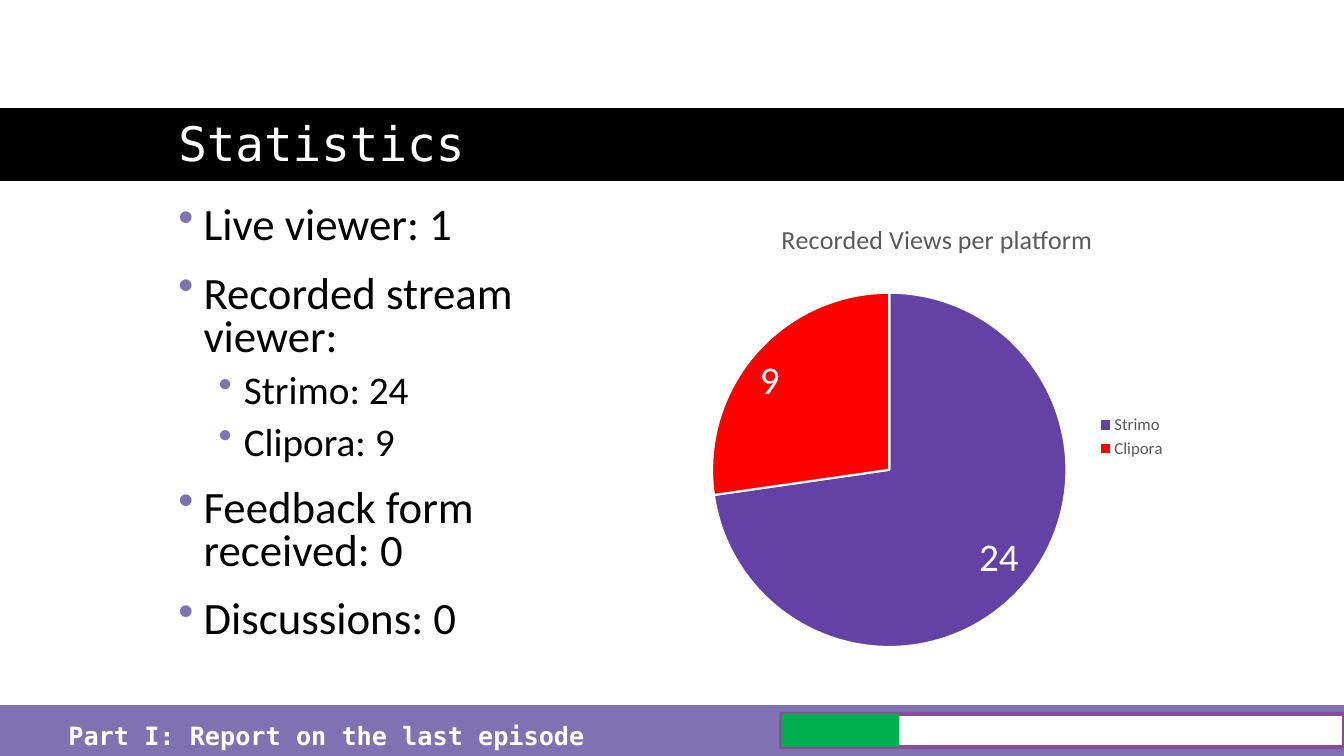
import pptx
import pptx.chart.data
import pptx.dml.color
import pptx.enum.chart
import pptx.enum.shapes
import pptx.enum.text
import pptx.oxml
import pptx.oxml.ns
import pptx.util
from pptx.util import Inches
from dataclasses import dataclass


@dataclass(frozen=True)
class Theme:
    black: str = "000000"
    white: str = "FFFFFF"
    gray: str = "595959"
    lavender: str = "8071B2"
    plum: str = "8C4B97"
    green: str = "00B050"
    slices: tuple = ("6441A5", "FF0000")
    body_font: str = "Calibri"
    mono_font: str = "DejaVu Sans Mono"
    title_size: float = 34
    bullet_sizes: tuple = (32, 28)
    bullet_spacing: tuple = (18, 10)
    bullet_indents: tuple = (0.25, 0.65)
    footer_size: float = 18
    chart_title_size: float = 18.6
    legend_size: float = 12
    label_size: float = 28


THEME = Theme()
TITLE = "Statistics"
FOOTER = "Part I: Report on the last episode"
CHART_TITLE = "Recorded Views per platform"
VIEWS = {"Strimo": 24, "Clipora": 9}
BULLETS = [
    (0, "Live viewer: 1"),
    (0, "Recorded stream viewer:"),
    *[(1, f"{platform}: {views}") for platform, views in VIEWS.items()],
    (0, "Feedback form received: 0"),
    (0, "Discussions: 0"),
]
SLIDE_SIZE = (13.33, 7.5)
COLUMN_TOP, COLUMN_WIDTH, COLUMN_HEIGHT = 2, 4.75, 4.67
TEXT_LEFT, CHART_LEFT = 1.67, 6.92
PROGRESS_BOX = (7.75, 7.08, 5.58, 0.33)
PROGRESS_DONE = 0.21
PIE_LAYOUT = {"x": 0.03, "y": 0.19, "w": 0.74, "h": 0.76}


def color(value):
    return pptx.dml.color.RGBColor.from_string(value)


def style_font(font, name, size, value, bold=False):
    font.name = name
    font.size = pptx.util.Pt(size)
    font.color.rgb = color(value)
    font.bold = bold


def add_bar(slide, box, fill, line=None, line_width=0):
    shape = slide.shapes.add_shape(
        pptx.enum.shapes.MSO_SHAPE.RECTANGLE, *map(Inches, box))
    shape.shadow.inherit = False
    shape.fill.solid()
    shape.fill.fore_color.rgb = color(fill)
    if line:
        shape.line.color.rgb = color(line)
        shape.line.width = pptx.util.Pt(line_width)
    else:
        shape.line.fill.background()


def add_text_frame(slide, box):
    frame = slide.shapes.add_textbox(*map(Inches, box)).text_frame
    frame.word_wrap = True
    return frame


def add_run(paragraph, text, *style, bold=False):
    run = paragraph.add_run()
    run.text = text
    style_font(run.font, *style, bold=bold)


def add_bullets(slide):
    frame = add_text_frame(
        slide, (TEXT_LEFT, COLUMN_TOP, COLUMN_WIDTH, COLUMN_HEIGHT))
    namespace = pptx.oxml.ns.nsdecls("a")
    for index, (level, text) in enumerate(BULLETS):
        paragraph = frame.add_paragraph() if index else frame.paragraphs[0]
        paragraph.level = level
        paragraph.line_spacing = 0.8
        paragraph.space_before = pptx.util.Pt(THEME.bullet_spacing[level])
        properties = paragraph._p.get_or_add_pPr()
        properties.set("marL", str(Inches(THEME.bullet_indents[level])))
        properties.set("indent", str(Inches(-0.25)))
        properties.append(pptx.oxml.parse_xml(
            f'<a:buClr {namespace}><a:srgbClr val="{THEME.lavender}"/></a:buClr>'))
        properties.append(pptx.oxml.parse_xml(f'<a:buChar {namespace} char="•"/>'))
        add_run(paragraph, text, THEME.body_font,
                THEME.bullet_sizes[level], THEME.black)


def place_plot(chart):
    plot_area = chart._chartSpace.chart.plotArea
    for layout in plot_area.findall(pptx.oxml.ns.qn("c:layout")):
        plot_area.remove(layout)
    modes = "".join(f'<c:{axis}Mode val="edge"/>' for axis in "xy")
    values = "".join(f'<c:{key} val="{value}"/>' for key, value in PIE_LAYOUT.items())
    plot_area.insert(0, pptx.oxml.parse_xml(
        f'<c:layout {pptx.oxml.ns.nsdecls("c")}><c:manualLayout>'
        f'<c:layoutTarget val="inner"/>{modes}{values}'
        '</c:manualLayout></c:layout>'))


def add_views_chart(slide):
    data = pptx.chart.data.CategoryChartData()
    data.categories = list(VIEWS)
    data.add_series(CHART_TITLE, list(VIEWS.values()))
    box = (CHART_LEFT, COLUMN_TOP, COLUMN_WIDTH, COLUMN_HEIGHT)
    chart = slide.shapes.add_chart(
        pptx.enum.chart.XL_CHART_TYPE.PIE, *map(Inches, box), data).chart
    style_font(chart.font, THEME.body_font, 10, THEME.black)

    chart.has_title = True
    add_run(chart.chart_title.text_frame.paragraphs[0], CHART_TITLE,
            THEME.body_font, THEME.chart_title_size, THEME.gray)
    chart.has_legend = True
    chart.legend.position = pptx.enum.chart.XL_LEGEND_POSITION.RIGHT
    chart.legend.include_in_layout = False
    style_font(chart.legend.font, THEME.body_font, THEME.legend_size, THEME.gray)

    plot = chart.plots[0]
    plot.vary_by_categories = True
    series = plot.series[0]
    for index, fill in enumerate(THEME.slices):
        point_format = series.points[index].format
        point_format.fill.solid()
        point_format.fill.fore_color.rgb = color(fill)
        point_format.line.color.rgb = color(THEME.white)
        point_format.line.width = pptx.util.Pt(1.5)
    labels = series.data_labels
    labels.show_value = True
    labels.position = pptx.enum.chart.XL_LABEL_POSITION.INSIDE_END
    style_font(labels.font, THEME.body_font, THEME.label_size, THEME.white)
    place_plot(chart)


def main():
    presentation = pptx.Presentation()
    presentation.slide_width, presentation.slide_height = map(Inches, SLIDE_SIZE)
    slide = presentation.slides.add_slide(presentation.slide_layouts[6])

    add_bar(slide, (-0.33, 1.06, 13.67, 0.75), THEME.black, THEME.white, 1.5)
    add_bar(slide, (0, 7, SLIDE_SIZE[0], 0.5), THEME.lavender, THEME.lavender, 1)

    title = add_text_frame(slide, (TEXT_LEFT, 0.5, 10, 1.25))
    title.vertical_anchor = pptx.enum.text.MSO_ANCHOR.BOTTOM
    title.paragraphs[0].line_spacing = 0.9
    add_run(title.paragraphs[0], TITLE, THEME.mono_font,
            THEME.title_size, THEME.white)

    add_bullets(slide)
    add_views_chart(slide)

    left, top, width, height = PROGRESS_BOX
    add_bar(slide, PROGRESS_BOX, THEME.white, THEME.plum, 3)
    add_bar(slide, (left, top, width * PROGRESS_DONE, height), THEME.green)

    footer = add_text_frame(slide, (0.58, 7.1, 5.42, 0.4))
    add_run(footer.paragraphs[0], FOOTER, THEME.mono_font,
            THEME.footer_size, THEME.white, bold=True)

    presentation.save("out.pptx")


if __name__ == "__main__":
    main()
